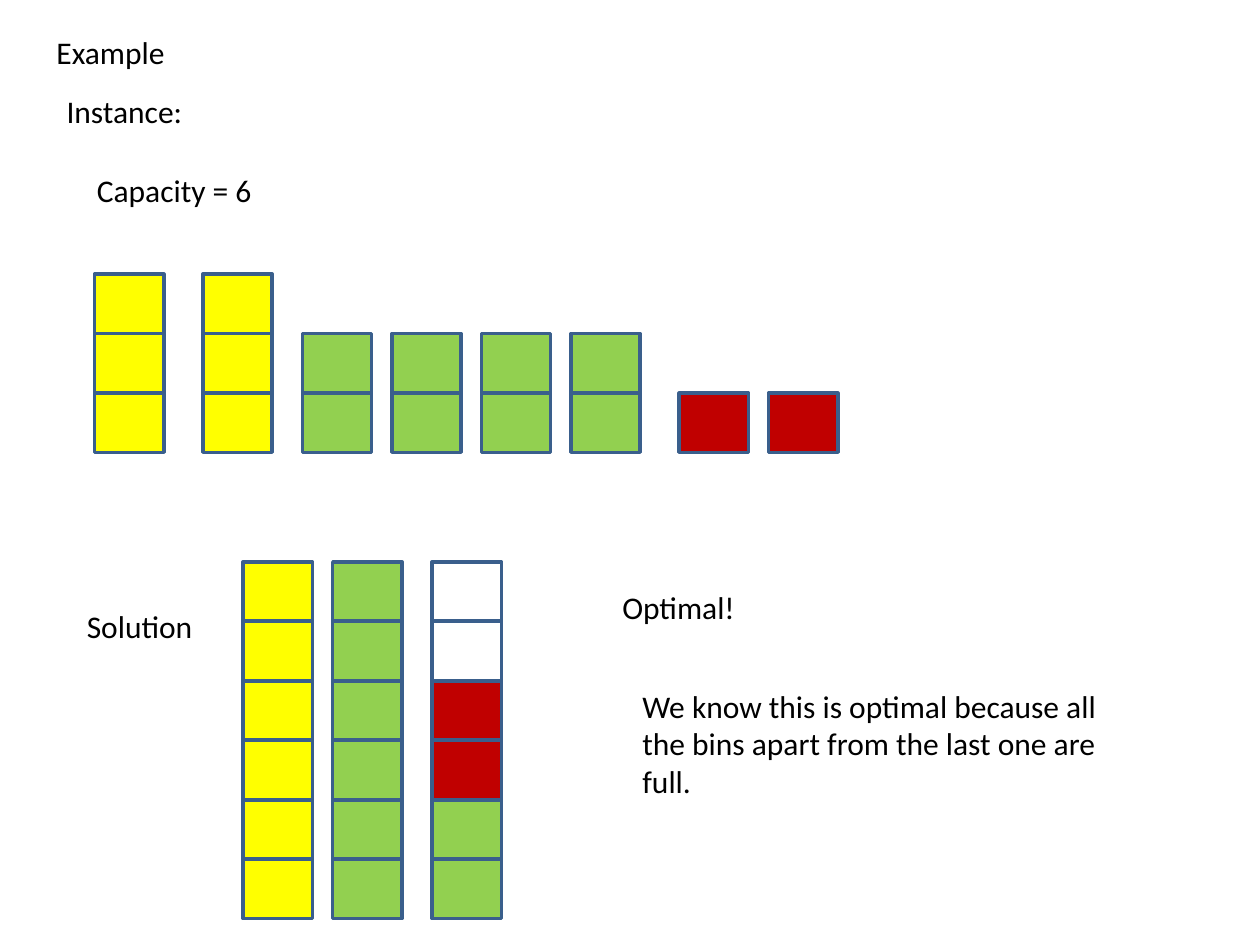
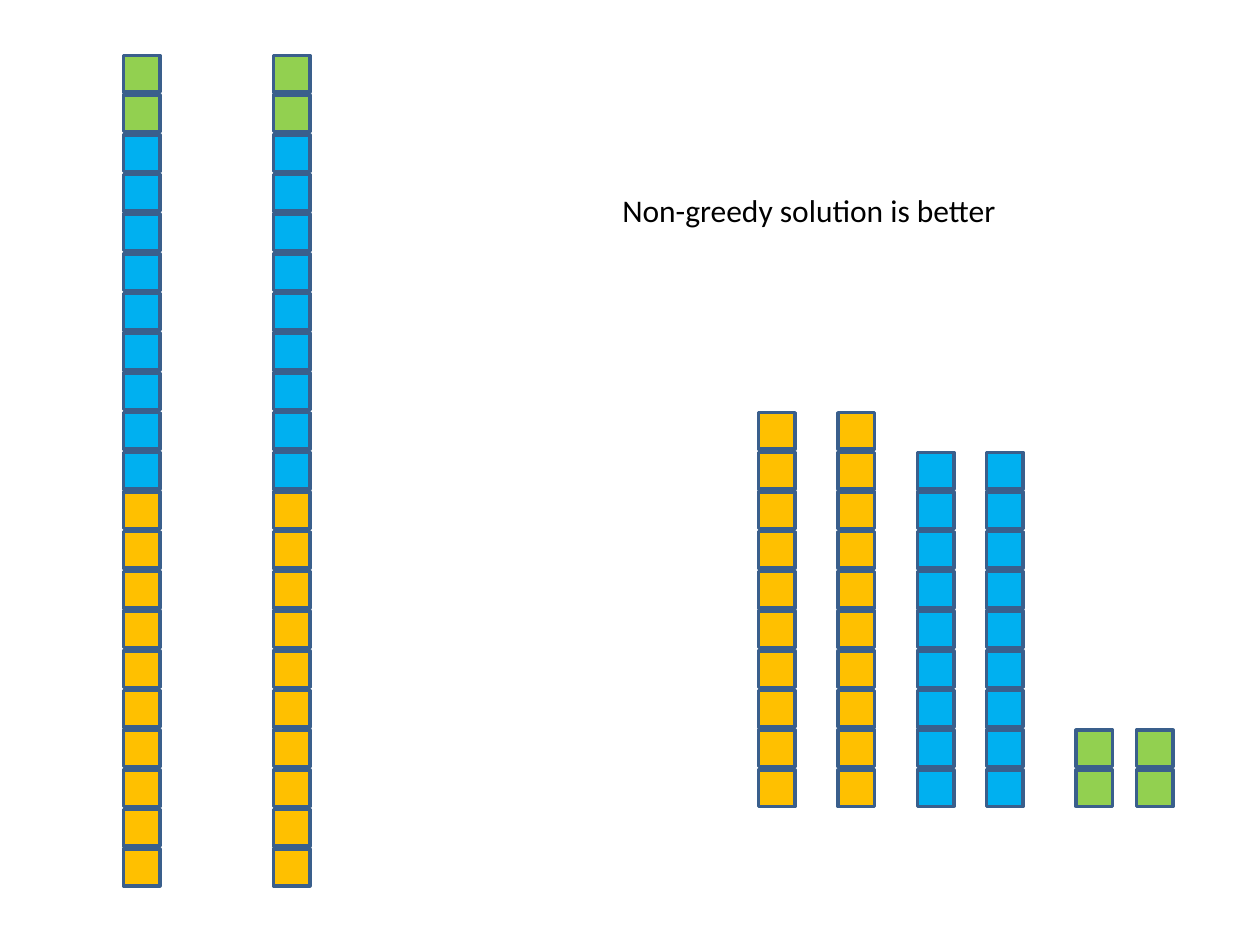
from collections import namedtuple

from pptx import Presentation
from pptx.dml.color import RGBColor
from pptx.enum.shapes import MSO_SHAPE as Shape
from pptx.enum.text import MSO_AUTO_SIZE as Fit
from pptx.util import Inches, Pt

BLACK = RGBColor(0x00, 0x00, 0x00)
WHITE = RGBColor(0xFF, 0xFF, 0xFF)
YELLOW = RGBColor(0xFF, 0xFF, 0x00)
GREEN = RGBColor(0x92, 0xD0, 0x50)
RED = RGBColor(0xC0, 0x00, 0x00)
ORANGE = RGBColor(0xFF, 0xC0, 0x00)
BLUE = RGBColor(0x00, 0xB0, 0xF0)
EDGE = RGBColor(0x3A, 0x5F, 0x8C)

Tile = namedtuple("Tile", "width height pitch")
LARGE = Tile(0.55, 0.47, 2.36 / 5)
SMALL = Tile(0.29, 0.29, 6.3 / 20)


def add_text(slide, left, top, width, height, text, wrap=False):
    box = slide.shapes.add_textbox(
        Inches(left), Inches(top), Inches(width), Inches(height))
    frame = box.text_frame
    frame.word_wrap = wrap
    frame.auto_size = Fit.SHAPE_TO_FIT_TEXT
    frame.text = text
    font = frame.paragraphs[0].font
    font.name, font.size, font.color.rgb = "Calibri", Pt(18), BLACK


def add_tile(slide, left, top, tile, color):
    shape = slide.shapes.add_shape(
        Shape.RECTANGLE, Inches(left), Inches(top),
        Inches(tile.width), Inches(tile.height))
    shape.shadow.inherit = False
    shape.fill.solid()
    shape.fill.fore_color.rgb = color
    shape.line.color.rgb = EDGE
    shape.line.width = Pt(2)


def add_stacks(slide, left, base, tile, stacks):
    """Pile tiles upwards from base, the top of the lowest row.

    Each stack is an offset from left and its (count, color) runs, bottom first.
    """
    for offset, *runs in stacks:
        colors = [color for count, color in runs for _ in range(count)]
        for row, color in enumerate(colors):
            add_tile(slide, left + offset, base - row * tile.pitch, tile, color)


def add_instance(slide, left, top):
    add_text(slide, left, top, 1.13, 0.4, "Instance:")
    add_text(slide, left + 0.24, top + 0.63, 1.44, 0.4, "Capacity = 6")
    items = [(x, (3, YELLOW)) for x in (0, 0.86)]
    items += [(1.65 + 0.71 * i, (2, GREEN)) for i in range(4)]
    items += [(4.64 + 0.71 * i, (1, RED)) for i in range(2)]
    add_stacks(slide, left + 0.32, top + 2.44, LARGE, items)


def add_solution(slide, left, top):
    add_text(slide, left, top + 0.31, 1.05, 0.4, "Solution")
    bins = [
        (0, (6, YELLOW)),
        (0.71, (6, GREEN)),
        (1.5, (2, GREEN), (2, RED), (2, WHITE)),
    ]
    add_stacks(slide, left + 1.34, top + 5 * LARGE.pitch, LARGE, bins)
    add_text(slide, left + 4.25, top + 0.16, 1.11, 0.4, "Optimal!")
    add_text(slide, left + 4.41, top + 0.94, 4.02, 1.01,
             "We know this is optimal because all the bins apart from "
             "the last one are full.", wrap=True)


def build_example(slide):
    add_text(slide, 0.35, 0.21, 1.07, 0.4, "Example")
    add_instance(slide, 0.43, 0.68)
    add_solution(slide, 0.59, 4.46)


def build_better(slide):
    items = [(x, (10, ORANGE)) for x in (0, 0.63)]
    items += [(x, (9, BLUE)) for x in (1.26, 1.81)]
    items += [(x, (2, GREEN)) for x in (2.52, 3)]
    add_stacks(slide, 6.02, 6.11, SMALL, items)

    full = (10, ORANGE), (9, BLUE), (2, GREEN)
    add_stacks(slide, 0.98, 6.74, SMALL, [(x, *full) for x in (0, 1.19)])
    add_text(slide, 4.84, 1.47, 3.21, 0.4, "Non-greedy solution is better")


def main():
    deck = Presentation()
    deck.slide_width, deck.slide_height = Inches(10), Inches(7.5)
    for build in (build_example, build_better):
        build(deck.slides.add_slide(deck.slide_layouts[6]))
    deck.save("out.pptx")


if __name__ == "__main__":
    main()
